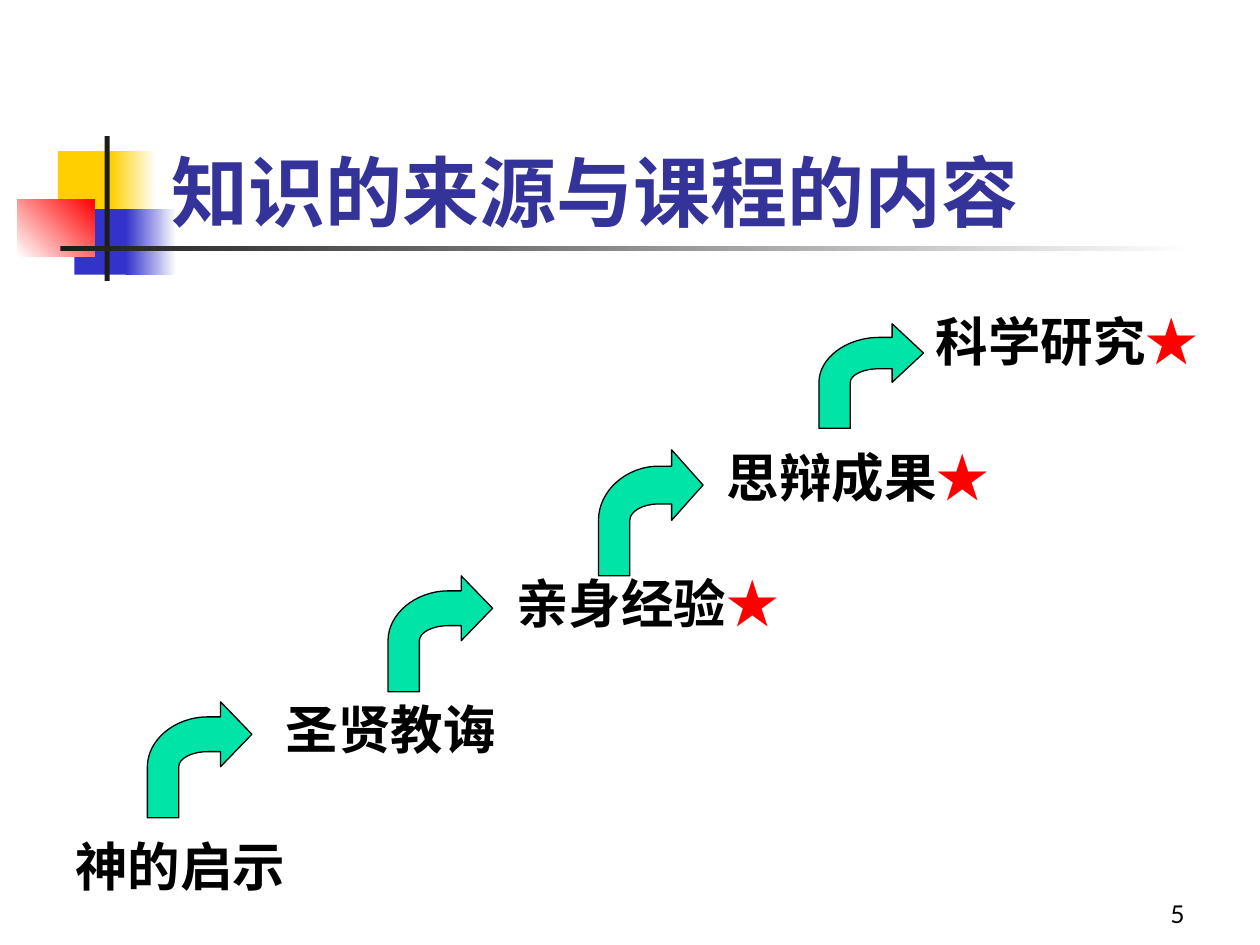
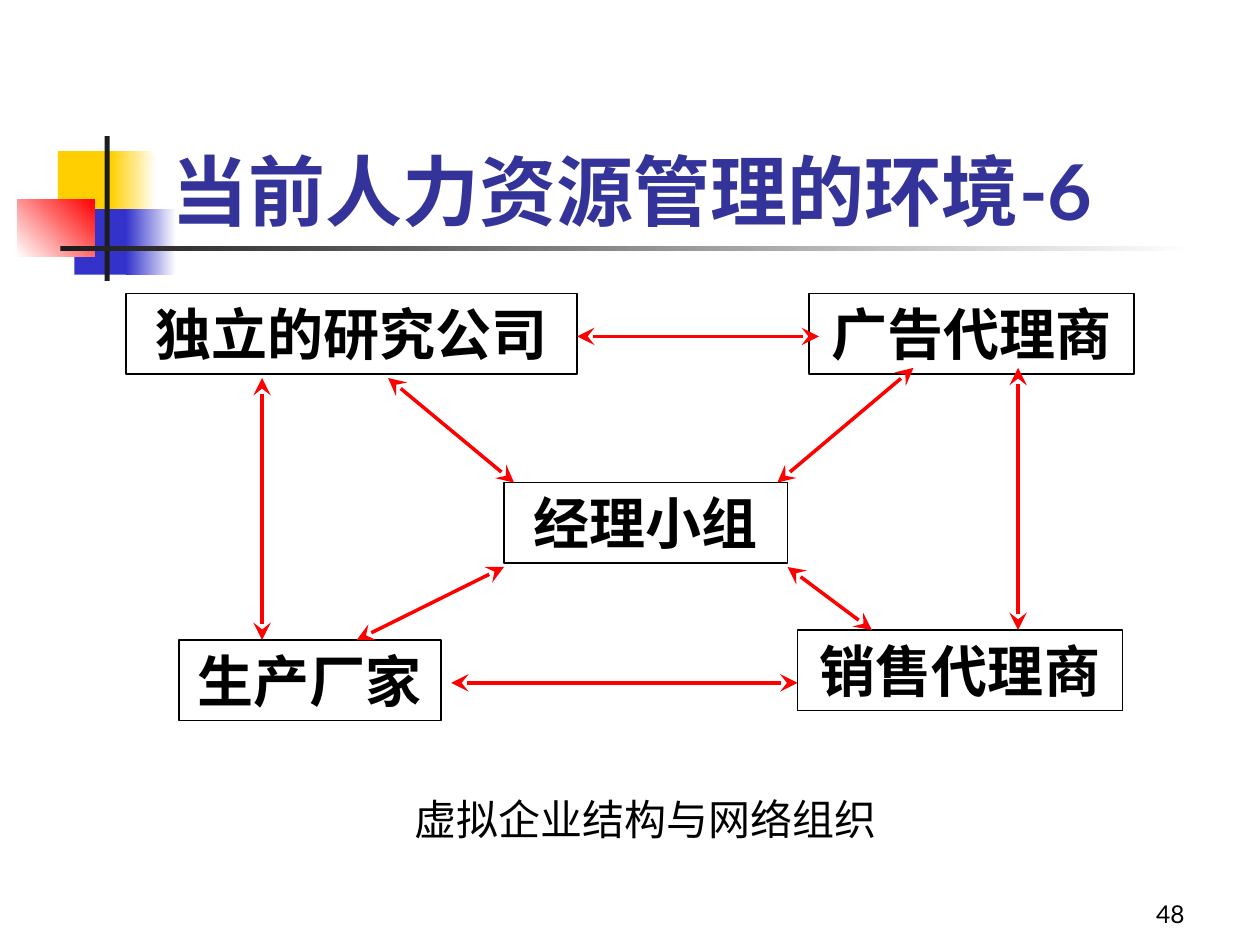
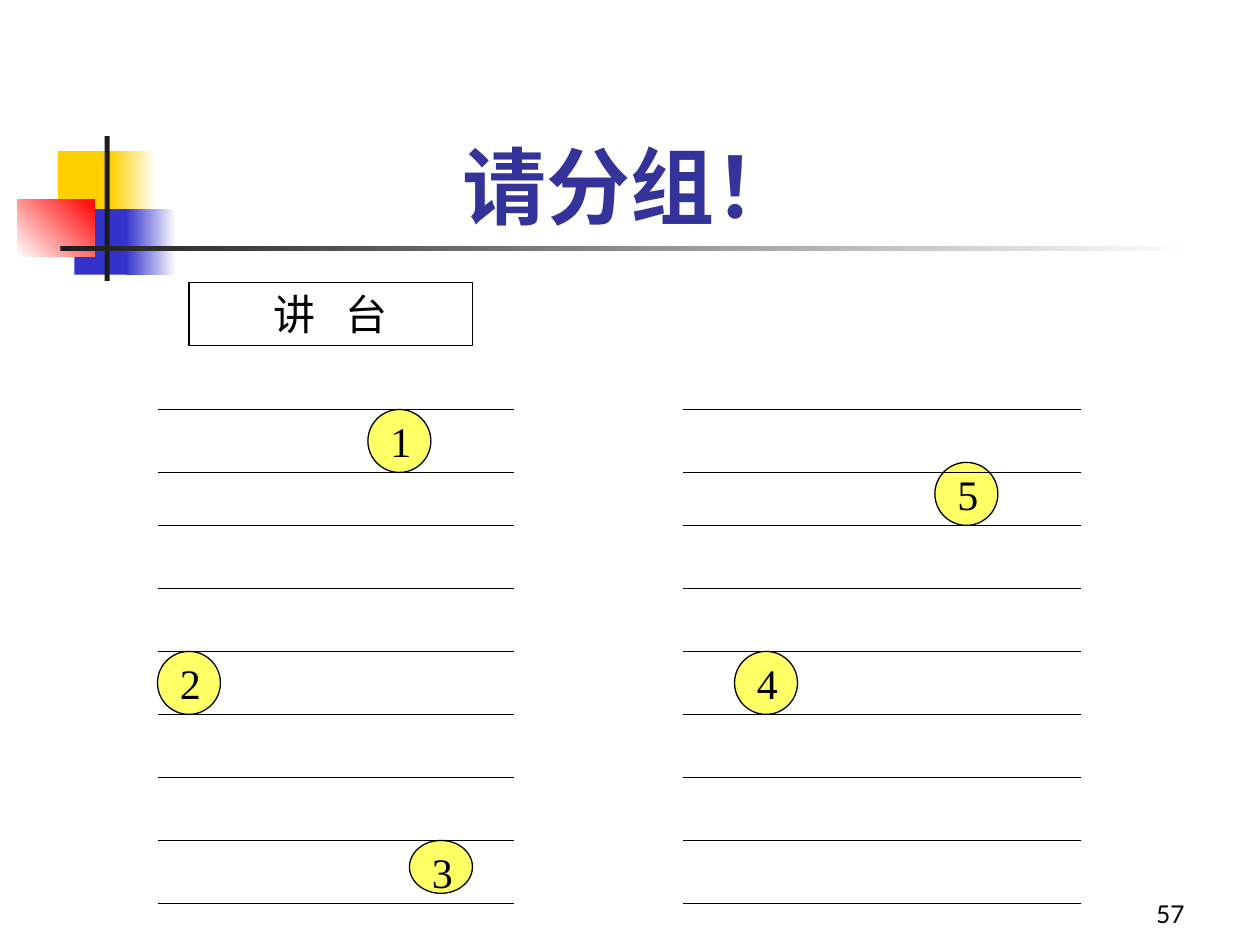
"""Build three course slides: sources of knowledge, a virtual firm, a seating plan."""
from lxml import etree
from pptx import Presentation
from pptx.dml.color import RGBColor
from pptx.enum.shapes import MSO_CONNECTOR, MSO_SHAPE
from pptx.enum.text import MSO_ANCHOR, MSO_AUTO_SIZE, PP_ALIGN
from pptx.oxml.ns import qn
from pptx.util import Inches, Pt

RECT, OVAL = MSO_SHAPE.RECTANGLE, MSO_SHAPE.OVAL
STRAIGHT = MSO_CONNECTOR.STRAIGHT
LEFT, MID, RIGHT = PP_ALIGN.LEFT, PP_ALIGN.CENTER, PP_ALIGN.RIGHT
TOP, LOW = MSO_ANCHOR.TOP, MSO_ANCHOR.BOTTOM
FIXED = MSO_AUTO_SIZE.NONE

SANS, SERIF = "Lato", "Times New Roman"
BLACK, WHITE, RED, NAVY = "000000", "FFFFFF", "FF0000", "333399"
GOLD, BLUE, INK, GREEN, LEMON = "FFCF01", "3333CC", "1C1C1C", "00E4A8", "FFFF66"

BANDS = [
    ((0.46, 1.2, 0.48, 0.52), [GOLD], 0),
    ((0.88, 1.2, 0.36, 0.52), [GOLD, WHITE], 0),
    ((0.59, 1.66, 0.46, 0.52), [BLUE], 0),
    ((1, 1.66, 0.4, 0.52), [BLUE, WHITE], 0),
    ((0.14, 1.58, 0.61, 0.46), [WHITE, RED], 45),
    ((0.83, 1.08, 0.04, 1.15), [INK], 0),
    ((0.48, 1.95, 9, 0.04), [INK, WHITE], 0),
]
PAGES = [
    ("知识的来源与课程的内容", "5", (1.26, 0.93, 8.52, 1), 44, LEFT),
    ("当前人力资源管理的环境-6", "48", (1.26, 0.67, 8.52, 1.25), 44, LEFT),
    ("请分组！", "57", (1.26, 0.67, 7.49, 1.25), 48, MID),
]

STEPS = [
    ("神的启示", "", (0.5, 6.57, 2.17, 0.6)),
    ("圣贤教诲", "", (2.17, 5.48, 1.92, 0.6)),
    ("亲身经验", "★", (4, 4.48, 2.33, 0.6)),
    ("思辩成果", "★", (5.67, 3.48, 2.42, 0.6)),
    ("科学研究", "★", (7.33, 2.4, 2.42, 0.6)),
]
BENDS = [
    (1.17, 5.57, 0.83, 0.92),
    (3.08, 4.57, 0.83, 0.92),
    (4.75, 3.57, 0.83, 1),
    (6.5, 2.57, 0.83, 0.83),
]
HEAD = [(1, 0.28), (0.7, 0), (0.7, 0.13), (0.58, 0.13)]
OUTER = [(0.26, 0.13), (0, 0.33), (0, 0.56)]
FOOT = [(0, 1), (0.3, 1), (0.3, 0.56)]
INNER = [(0.3, 0.49), (0.42, 0.43), (0.58, 0.43)]
BARB = [(0.7, 0.43), (0.7, 0.56)]

FIRMS = [
    ("独立的研究公司", 1, 2.33, 3.58),
    ("广告代理商", 6.42, 2.33, 2.58),
    ("销售代理商", 6.33, 5, 2.58),
    ("生产厂家", 1.42, 5.08, 2.08),
    ("经理小组", 4, 3.83, 2.25),
]
LINKS = [
    (4.08, 3.83, 3.08, 3),
    (2.08, 5.08, 2.08, 3),
    (4, 4.5, 2.83, 5.08),
    (6.17, 3.83, 7.25, 2.92),
    (6.92, 5, 6.25, 4.5),
    (8.08, 5, 8.08, 2.92),
    (6.5, 2.67, 4.58, 2.67),
    (6.33, 5.42, 3.58, 5.42),
]

SEATS = [
    ("1", 2.92, 3.25, 0.5),
    ("2", 1.25, 5.17, 0.5),
    ("3", 3.25, 6.67, 0.42),
    ("4", 5.83, 5.17, 0.5),
    ("5", 7.42, 3.67, 0.5),
]
ROWS = [3.25, 3.75] + [4.17 + 0.5 * i for i in range(7)]
SIDES = [(1.25, 4.08), (5.42, 8.58)]


def tint(code):
    return RGBColor.from_string(code)


def place(at):
    return [Inches(n) for n in at]


def style(shape, fill=None, line=None):
    shape.shadow.inherit = False
    if fill:
        shape.fill.solid()
        shape.fill.fore_color.rgb = tint(fill)
    else:
        shape.fill.background()
    if line:
        shape.line.color.rgb = tint(line)
        shape.line.width = Pt(0.75)
    else:
        shape.line.fill.background()


def write(shape, parts, size, font=SERIF, bold=False, align=LEFT, anchor=TOP):
    frame = shape.text_frame
    frame.word_wrap = True
    frame.auto_size = FIXED
    frame.vertical_anchor = anchor
    para = frame.paragraphs[0]
    para.alignment = align
    for text, color in parts:
        run = para.add_run()
        run.text = text
        run.font.name, run.font.size, run.font.bold = font, Pt(size), bold
        run.font.color.rgb = tint(color)


def label(shapes, at, parts, size, **look):
    write(shapes.add_textbox(*place(at)), parts, size, **look)


def panel(shapes, at, text, size, bold=False):
    box = shapes.add_shape(RECT, *place(at))
    style(box, line=BLACK)
    write(box, [(text, BLACK)], size, bold=bold, align=MID)
    return box


def stroke(shapes, ends, color, width, tips=()):
    link = shapes.add_connector(STRAIGHT, *place(ends))
    link.line.color.rgb = tint(color)
    link.line.width = Pt(width)
    line = link.element.spPr.find(qn("a:ln"))
    for tip in tips:
        etree.SubElement(line, qn(tip), type="stealth", w="lg", len="lg")
    etree.SubElement(link.element.spPr, qn("a:effectLst"))


def curve(legs):
    arc = etree.Element(qn("a:cubicBezTo"))
    legs[0].addprevious(arc)
    for leg in legs:
        arc.append(leg[0])
        leg.getparent().remove(leg)


def bend(shapes, at):
    left, top, wide, high = at
    dots = HEAD + OUTER + FOOT + INNER + BARB
    spots = [place((left + x * wide, top + y * high)) for x, y in dots]
    path = shapes.build_freeform(*spots[0])
    path.add_line_segments(spots[1:], close=True)
    arrow = path.convert_to_shape()
    legs = list(arrow.element.iter(qn("a:lnTo")))
    for part in (OUTER, INNER):
        first = dots.index(part[0]) - 1
        curve(legs[first:first + 3])
    style(arrow, GREEN, BLACK)


def brand(layout, shapes):
    for holder in list(layout.placeholders)[1:]:
        layout.shapes.element.remove(holder.element)
    for at, hues, angle in BANDS:
        band = shapes.add_shape(RECT, *place(at))
        style(band, hues[0])
        if len(hues) > 1:
            band.fill.gradient()
            band.fill.gradient_angle = angle
            for stop, hue in zip(band.fill.gradient_stops, hues):
                stop.color.rgb = tint(hue)
        layout.shapes.element.append(band.element)


def start(deck, layout, page):
    text, number, at, size, align = page
    shapes = deck.slides.add_slide(layout).shapes
    title = shapes.title
    title.left, title.top, title.width, title.height = place(at)
    write(title, [(text, NAVY)], size, font=SANS, bold=True, align=align, anchor=LOW)
    label(shapes, (7.42, 6.92, 2.08, 0.5), [(number, BLACK)], 14,
          font=SANS, align=RIGHT, anchor=LOW)
    return shapes


def climb(shapes):
    for text, star, at in STEPS:
        parts = [(text, BLACK)] + ([(star, RED)] if star else [])
        label(shapes, at, parts, 30, bold=True)
    for at in BENDS:
        bend(shapes, at)


def network(shapes):
    for text, left, top, wide in FIRMS:
        panel(shapes, (left, top, wide, 0.64), text, 32, bold=True)
    label(shapes, (3, 6.25, 4.25, 0.5), [("虚拟企业结构与网络组织", BLACK)], 24, align=MID)
    for ends in LINKS:
        stroke(shapes, ends, RED, 2, ("a:headEnd", "a:tailEnd"))


def seating(shapes):
    for text, left, top, high in SEATS:
        group = shapes.add_group_shape().shapes
        style(group.add_shape(OVAL, *place((left, top, 0.5, high))), LEMON, BLACK)
        label(group, (left + 0.08, top, 0.33, 0.5), [(text, BLACK)], 24)
    desk = panel(shapes, (1.5, 2.24, 2.25, 0.5), "讲 台", 24)
    desk.element.find(".//" + qn("a:rPr")).set("spc", "600")
    for left, right in SIDES:
        group = shapes.add_group_shape().shapes
        for row in ROWS:
            stroke(group, (left, row, right, row), BLACK, 0.75)


def main():
    deck = Presentation()
    deck.slide_width, deck.slide_height = Inches(10), Inches(7.5)
    layout = deck.slide_layouts[5]
    views = [start(deck, layout, page) for page in PAGES]
    brand(layout, views[0])
    for draw, shapes in zip((climb, network, seating), views):
        draw(shapes)
    deck.save("out.pptx")


if __name__ == "__main__":
    main()
